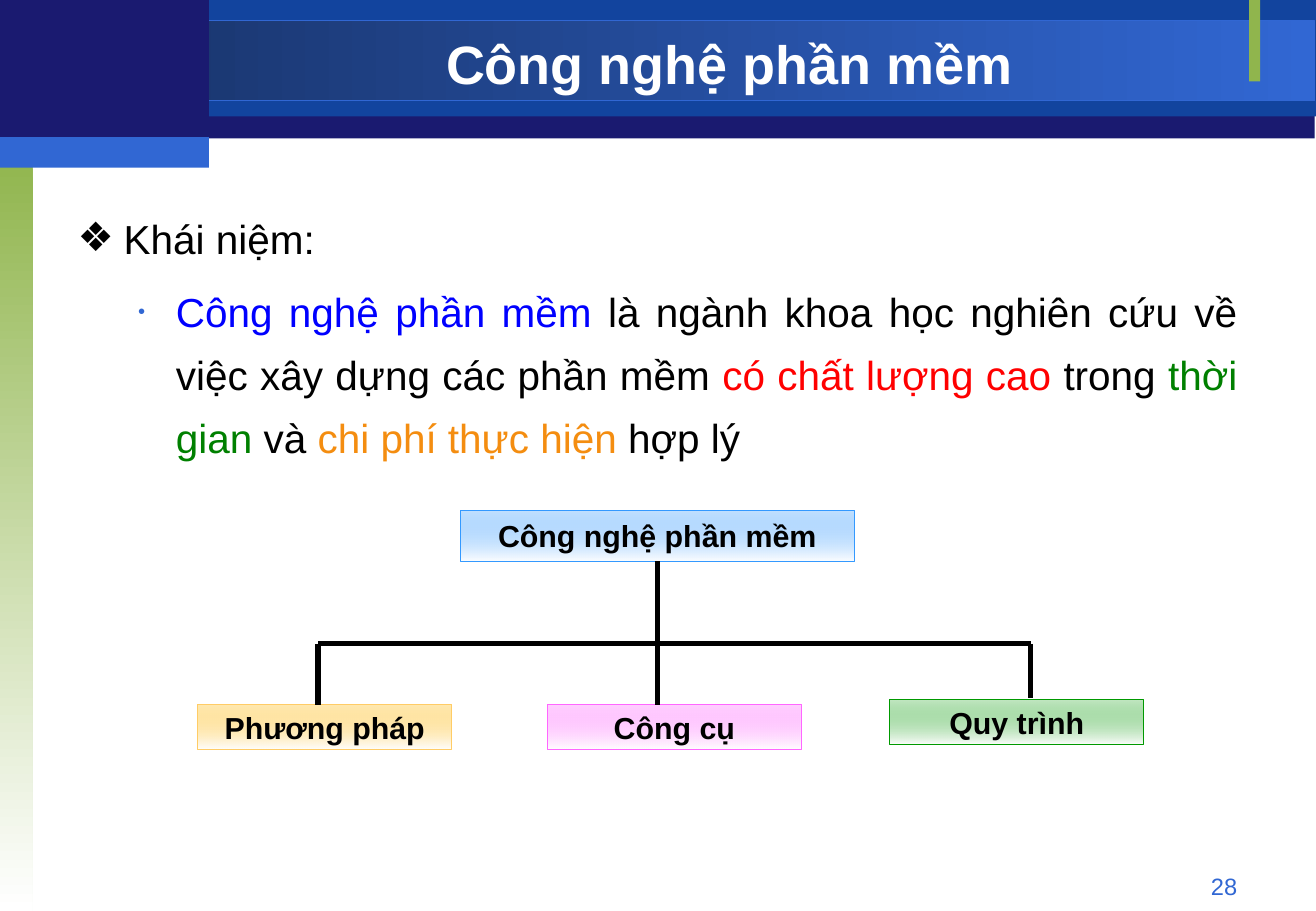
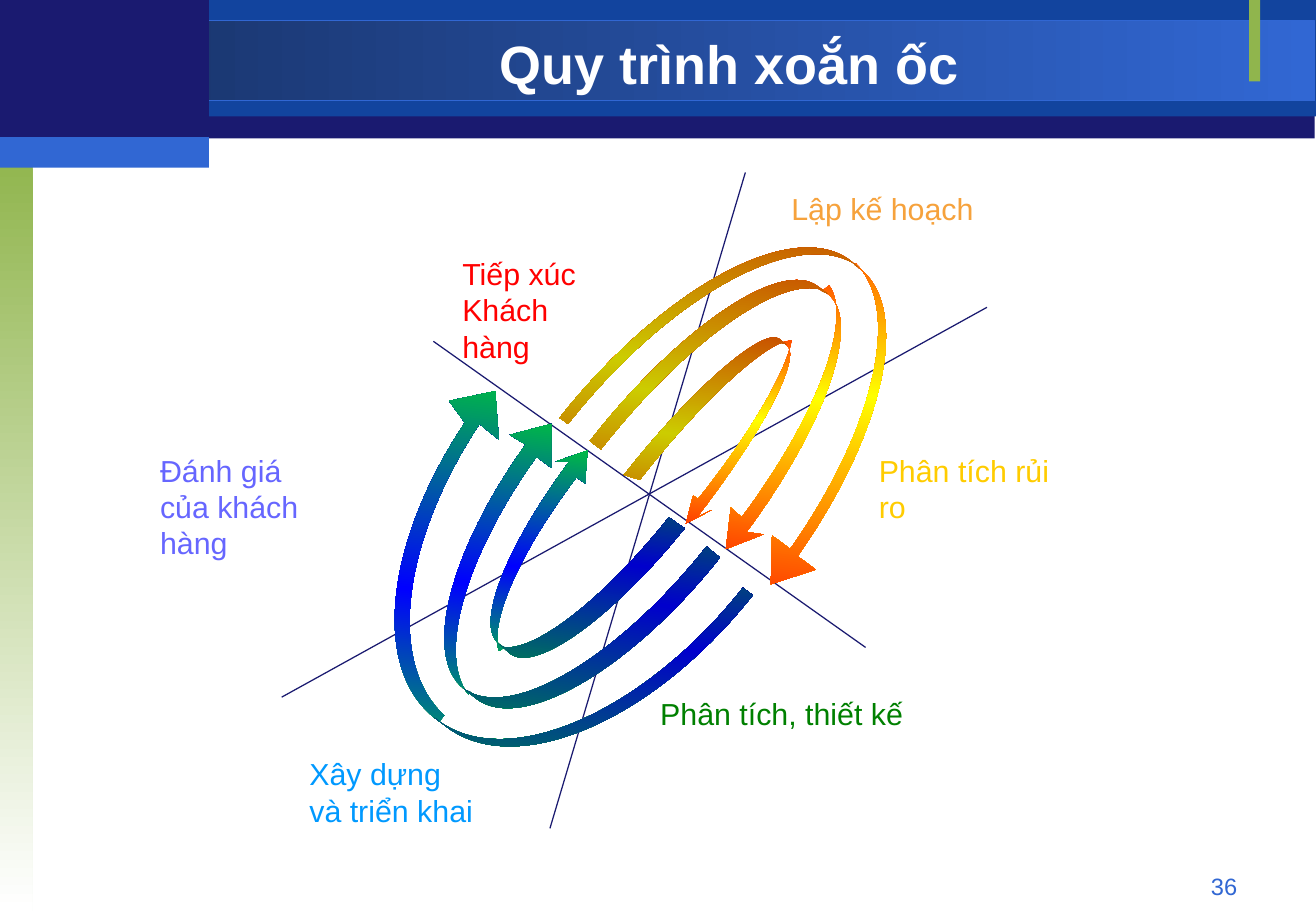
from dataclasses import dataclass
from typing import Any, NamedTuple, Optional, Union

import lxml.etree
import pptx
import pptx.dml.color
import pptx.enum.shapes
import pptx.enum.text
import pptx.oxml.ns
import pptx.util

Inches = pptx.util.Inches
ALIGN = pptx.enum.text.PP_ALIGN
MIDDLE = pptx.enum.text.MSO_ANCHOR.MIDDLE
qn = pptx.oxml.ns.qn


@dataclass(frozen=True)
class Theme:
    font: str = "Arial"
    navy: str = "1A1A70"
    deep: str = "12449E"
    dusk: str = "173062"
    blue: str = "3167D3"
    leaf: str = "90B54D"
    white: str = "FFFFFF"
    black: str = "000000"
    title: int = 32
    body: int = 24
    label: int = 18
    number: int = 14


THEME = Theme()


class Stop(NamedTuple):
    at: int
    color: str
    alpha: int = 100


class Fade(NamedTuple):
    angle: int
    stops: list[Stop]


class Area(NamedTuple):
    left: float
    top: float
    width: float
    height: float


class Run(NamedTuple):
    text: str
    color: str


class Line(NamedTuple):
    x1: float
    y1: float
    x2: float
    y2: float


@dataclass(frozen=True)
class Bar:
    area: Area
    fill: Union[str, Fade]
    edge: Optional[str] = None


@dataclass(frozen=True)
class Node:
    text: str
    area: Area
    tint: str
    edge: str
    alpha: int = 30


@dataclass(frozen=True)
class Label:
    lines: list[str]
    area: Area
    color: str


@dataclass(frozen=True)
class Item:
    runs: list[Run]
    mark: str
    tint: str
    size: int
    left: float
    hang: float
    format: dict[str, Any]


@dataclass(frozen=True)
class Swirl:
    """An outline of points (2 numbers) and curves (6), and the inner edge of its fold."""
    outline: list[tuple[float, ...]]
    fold: list[tuple[float, ...]]


BARS = [
    Bar(Area(0, 0.01, 10.83, 1.13), THEME.navy),
    Bar(Area(1.72, 0, 9.12, 0.96), THEME.deep),
    Bar(Area(0, 0.17, 10.83, 0.66), Fade(0, [Stop(0, THEME.dusk), Stop(100, THEME.blue)]), THEME.blue),
    Bar(Area(0, 1.25, 0.27, 6.25), Fade(90, [Stop(0, THEME.leaf), Stop(100, THEME.white)])),
    Bar(Area(10.29, 0, 0.09, 0.67), THEME.leaf),
    Bar(Area(0, 0, 1.72, 1.17), THEME.navy),
    Bar(Area(0, 1.13, 1.72, 0.25), THEME.blue),
]

ITEMS = [
    Item([Run("Khái niệm:", THEME.black)], "❖", THEME.black, 100, 0.38, 0.38, {}),
    Item([
        Run("Công nghệ phần mềm", "0000FF"),
        Run(" là ngành khoa học nghiên cứu về việc xây dựng các phần mềm ", THEME.black),
        Run("có chất lượng cao", "FF0000"),
        Run(" trong ", THEME.black),
        Run("thời gian", "008000"),
        Run(" và ", THEME.black),
        Run("chi phí thực hiện", "F48D10"),
        Run(" hợp lý", THEME.black),
    ], "•", THEME.blue, 50, 0.81, 0.31, {"level": 1, "space_before": pptx.util.Pt(6)}),
]

NODES = [
    Node("Công nghệ phần mềm", Area(3.79, 4.2, 3.25, 0.42), "3399FF", "3399FF"),
    Node("Phương pháp", Area(1.63, 5.8, 2.09, 0.37), "FFB601", "FFCC66"),
    Node("Công cụ", Area(4.51, 5.8, 2.09, 0.37), "FF66FF", "FF66FF"),
    Node("Quy trình", Area(7.33, 5.76, 2.09, 0.37), "009900", "009900", 23),
]
LINKS = [Line(2.62, 5.3, 8.49, 5.3), Line(2.62, 5.3, 2.62, 5.8),
         Line(8.49, 5.3, 8.49, 5.75), Line(5.42, 4.62, 5.42, 5.8)]

AXES = [Line(2.32, 5.74, 8.13, 2.53), Line(6.14, 1.42, 4.53, 6.82), Line(3.57, 2.81, 7.13, 5.33)]
LABELS = [
    Label(["Tiếp xúc", "Khách hàng"], Area(3.71, 2.05, 1.53, 0.7), "FF0000"),
    Label(["Lập kế hoạch"], Area(6.42, 1.52, 1.7, 0.4), "F6A23C"),
    Label(["Phân tích rủi ro"], Area(7.14, 3.67, 1.89, 0.4), "FFCC00"),
    Label(["Phân tích, thiết kế"], Area(5.34, 5.67, 2.2, 0.4), "008000"),
    Label(["Xây dựng", "và triển khai"], Area(2.45, 6.17, 1.55, 0.7), "0099FF"),
    Label(["Đánh giá", "của khách hàng"], Area(1.22, 3.67, 1.96, 0.7), "6666FF"),
]

WARM = (Fade(97, [Stop(0, "FF3300"), Stop(45, "FFFF00"), Stop(100, "FF3300")]),
        Fade(97, [Stop(0, "C84600"), Stop(70, "CCCC00"), Stop(100, "C89000")]))
COOL = (Fade(277, [Stop(0, "00CC33"), Stop(45, "0000FF"), Stop(100, "00CC33")]),
        Fade(277, [Stop(0, "008050"), Stop(70, "0000CC"), Stop(100, "004080")]))
RIGHT = [
    Swirl([(4.61, 3.44), (5.47, 2.36, 6.54, 1.78, 7.01, 2.15), (7.08, 2.21),
           (7.51, 2.54, 7.29, 3.56, 6.57, 4.58), (6.72, 4.69), (6.35, 4.81), (6.36, 4.41), (6.51, 4.52),
           (7.21, 3.53, 7.43, 2.54, 7.05, 2.17), (7.05, 2.18), (6.56, 1.86, 5.51, 2.44, 4.68, 3.49)],
          [(7.07, 2.2, 7.06, 2.19, 7.04, 2.18), (7.05, 2.18)]),
    Swirl([(4.86, 3.63), (5.6, 2.69, 6.44, 2.12, 6.74, 2.36), (6.82, 2.42),
           (7.1, 2.64, 6.81, 3.49, 6.15, 4.38), (6.29, 4.4), (5.98, 4.52), (6.02, 4.18), (6.11, 4.26),
           (6.73, 3.43, 7.03, 2.63, 6.83, 2.35), (6.78, 2.39), (6.43, 2.26, 5.64, 2.82, 4.95, 3.7)],
          [(6.8, 2.41, 6.78, 2.4, 6.76, 2.39), (6.78, 2.39)]),
    Swirl([(5.14, 3.91), (5.71, 3.19, 6.29, 2.69, 6.42, 2.79), (6.48, 2.84),
           (6.61, 2.94, 6.28, 3.56, 5.74, 4.26), (5.86, 4.2), (5.65, 4.31), (5.71, 4.08), (5.75, 4.11),
           (6.19, 3.56, 6.49, 3.03, 6.52, 2.8), (6.44, 2.82), (6.21, 2.91, 5.73, 3.36, 5.27, 3.95)],
          [(6.46, 2.82, 6.42, 2.82, 6.37, 2.84), (6.44, 2.82)]),
]
LEFT = [
    Swirl([(6.2, 4.9), (5.37, 5.95, 4.23, 6.43, 3.66, 5.97), (3.58, 5.91),
           (3.06, 5.5, 3.17, 4.47, 3.83, 3.48), (3.7, 3.3), (4.08, 3.22), (4.11, 3.62), (3.95, 3.49),
           (3.31, 4.46, 3.19, 5.46, 3.66, 5.89), (3.62, 5.94), (4.2, 6.35, 5.31, 5.86, 6.12, 4.84)],
          [(3.59, 5.92, 3.6, 5.92, 3.61, 5.93), (3.62, 5.94)]),
    Swirl([(5.93, 4.59), (5.19, 5.52, 4.29, 6.04, 3.92, 5.75), (3.82, 5.67),
           (3.48, 5.4, 3.7, 4.54, 4.33, 3.66), (4.2, 3.58), (4.54, 3.49), (4.54, 3.85), (4.42, 3.76),
           (3.83, 4.58, 3.6, 5.4, 3.86, 5.72), (3.87, 5.7), (4.28, 5.9, 5.12, 5.38, 5.82, 4.5)],
          [(3.83, 5.68, 3.86, 5.69, 3.88, 5.7), (3.87, 5.7)]),
    Swirl([(5.64, 4.35), (5.05, 5.08, 4.41, 5.55, 4.2, 5.38), (4.11, 5.3),
           (3.91, 5.15, 4.17, 4.5, 4.69, 3.8), (4.58, 3.8), (4.84, 3.71), (4.82, 3.98), (4.75, 3.93),
           (4.29, 4.53, 4.03, 5.12, 4.11, 5.36), (4.16, 5.33), (4.44, 5.35, 5, 4.9, 5.51, 4.26)],
          [(4.13, 5.32, 4.16, 5.33, 4.19, 5.34), (4.16, 5.33)]),
]


def put(target: Any, values: dict[str, Any]) -> None:
    for name, value in values.items():
        setattr(target, name, value)


def rgb(color: str) -> pptx.dml.color.RGBColor:
    return pptx.dml.color.RGBColor.from_string(color)


def add(parent: Any, tag: str, **values: Any) -> Any:
    return lxml.etree.SubElement(parent, qn(tag), {k: str(v) for k, v in values.items()})


def paint(shape: Any, fill: Union[str, Fade], edge: Optional[str] = None) -> None:
    shape.shadow.inherit = False
    if isinstance(fill, Fade):
        shape.fill.gradient()
        grad = shape._element.spPr.find(qn("a:gradFill"))
        for child in list(grad):
            grad.remove(child)
        stops = add(grad, "a:gsLst")
        for stop in fill.stops:
            tone = add(add(stops, "a:gs", pos=stop.at * 1000), "a:srgbClr", val=stop.color)
            if stop.alpha < 100:
                add(tone, "a:alpha", val=stop.alpha * 1000)
        add(grad, "a:lin", ang=fill.angle * 60000, scaled=0)
    else:
        shape.fill.solid()
        shape.fill.fore_color.rgb = rgb(fill)
    if edge:
        shape.line.color.rgb = rgb(edge)
        shape.line.width = pptx.util.Pt(0.75)
    else:
        shape.line.fill.background()


def block(slide: Any, area: Area, fill: Union[str, Fade], edge: Optional[str] = None) -> Any:
    kind = pptx.enum.shapes.MSO_SHAPE.RECTANGLE
    shape = slide.shapes.add_shape(kind, *map(Inches, area))
    paint(shape, fill, edge)
    return shape


def write(para: Any, runs: list[Run], size: int, bold: bool = False) -> None:
    for part in runs:
        run = para.add_run()
        run.text = part.text
        put(run.font, {"name": THEME.font, "size": pptx.util.Pt(size), "bold": bold})
        run.font.color.rgb = rgb(part.color)


def note(slide: Any, area: Area, lines: list[str], color: str, size: int,
         align: Any = ALIGN.LEFT, bold: bool = False, **frame: Any) -> None:
    """Add a text box with one paragraph a line."""
    text = slide.shapes.add_textbox(*map(Inches, area)).text_frame
    put(text, {"word_wrap": True, **frame})
    for index, line in enumerate(lines):
        para = text.add_paragraph() if index else text.paragraphs[0]
        para.alignment = align
        write(para, [Run(line, color)], size, bold)


def join(slide: Any, line: Line, color: str, width: float) -> None:
    kind = pptx.enum.shapes.MSO_CONNECTOR.STRAIGHT
    link = slide.shapes.add_connector(kind, *map(Inches, line))
    link.line.color.rgb = rgb(color)
    link.line.width = pptx.util.Pt(width)
    add(link._element.spPr, "a:effectLst")


def trace(slide: Any, steps: list[tuple[float, ...]], fill: Fade) -> None:
    """Draw a closed outline, then merge the three lines of each curve into a Bézier."""
    spots = [(Inches(step[i]), Inches(step[i + 1])) for step in steps for i in range(0, len(step), 2)]
    form = slide.shapes.build_freeform(*spots[0], scale=1.0)
    form.add_line_segments(spots[1:], close=True)
    shape = form.convert_to_shape()
    lines = iter(list(shape._element.iter(qn("a:lnTo"))))
    for step in steps[1:]:
        first = next(lines)
        if len(step) == 6:
            curve = lxml.etree.Element(qn("a:cubicBezTo"))
            first.addprevious(curve)
            for line in (first, next(lines), next(lines)):
                curve.append(line[0])
                line.getparent().remove(line)
    paint(shape, fill)


def start(deck: Any, title: str, number: int) -> Any:
    slide = deck.slides.add_slide(deck.slide_layouts[6])
    for bar in BARS:
        block(slide, bar.area, bar.fill, bar.edge)
    note(slide, Area(7.76, 7.13, 2.53, 0.27), [str(number)], THEME.blue, THEME.number, ALIGN.RIGHT)
    note(slide, Area(1.72, 0.23, 8.58, 0.58), [title], THEME.white, THEME.title,
         ALIGN.CENTER, True, vertical_anchor=MIDDLE)
    return slide


def list_items(slide: Any) -> None:
    text = slide.shapes.add_textbox(*map(Inches, Area(0.54, 1.59, 9.75, 5.5))).text_frame
    text.word_wrap = True
    for index, item in enumerate(ITEMS):
        para = text.add_paragraph() if index else text.paragraphs[0]
        put(para, {"alignment": ALIGN.JUSTIFY, "line_spacing": 1.3, **item.format})
        props = para._p.get_or_add_pPr()
        props.set("marL", str(Inches(item.left)))
        props.set("indent", str(-Inches(item.hang)))
        add(add(props, "a:buClr"), "a:srgbClr", val=item.tint)
        add(props, "a:buSzPct", val=item.size * 1000)
        add(props, "a:buFont", typeface=THEME.font)
        add(props, "a:buChar", char=item.mark)
        write(para, item.runs, THEME.body)


def draw_tree(slide: Any) -> None:
    for node in NODES:
        fade = Fade(90, [Stop(0, node.tint, node.alpha), Stop(100, THEME.white)])
        text = block(slide, node.area, fade, node.edge).text_frame
        put(text, {"word_wrap": False, "vertical_anchor": MIDDLE})
        text.paragraphs[0].alignment = ALIGN.CENTER
        write(text.paragraphs[0], [Run(node.text, THEME.black)], THEME.label, True)
    for link in LINKS:
        join(slide, link, THEME.black, 3)


def draw_spiral(slide: Any) -> None:
    for axis in AXES:
        join(slide, axis, THEME.navy, 0.75)
    for swirls, (front, back) in ((RIGHT, WARM), (LEFT, COOL)):
        for swirl in swirls:
            trace(slide, swirl.outline, front)
            trace(slide, swirl.outline[:3] + swirl.fold + swirl.outline[-1:], back)
    for label in LABELS:
        note(slide, label.area, label.lines, label.color, THEME.label, word_wrap=False)


def main() -> None:
    deck = pptx.Presentation()
    put(deck, {"slide_width": Inches(10.84), "slide_height": Inches(7.5)})
    slide = start(deck, "Công nghệ phần mềm", 28)
    list_items(slide)
    draw_tree(slide)
    draw_spiral(start(deck, "Quy trình xoắn ốc", 36))
    deck.save("out.pptx")


if __name__ == "__main__":
    main()
